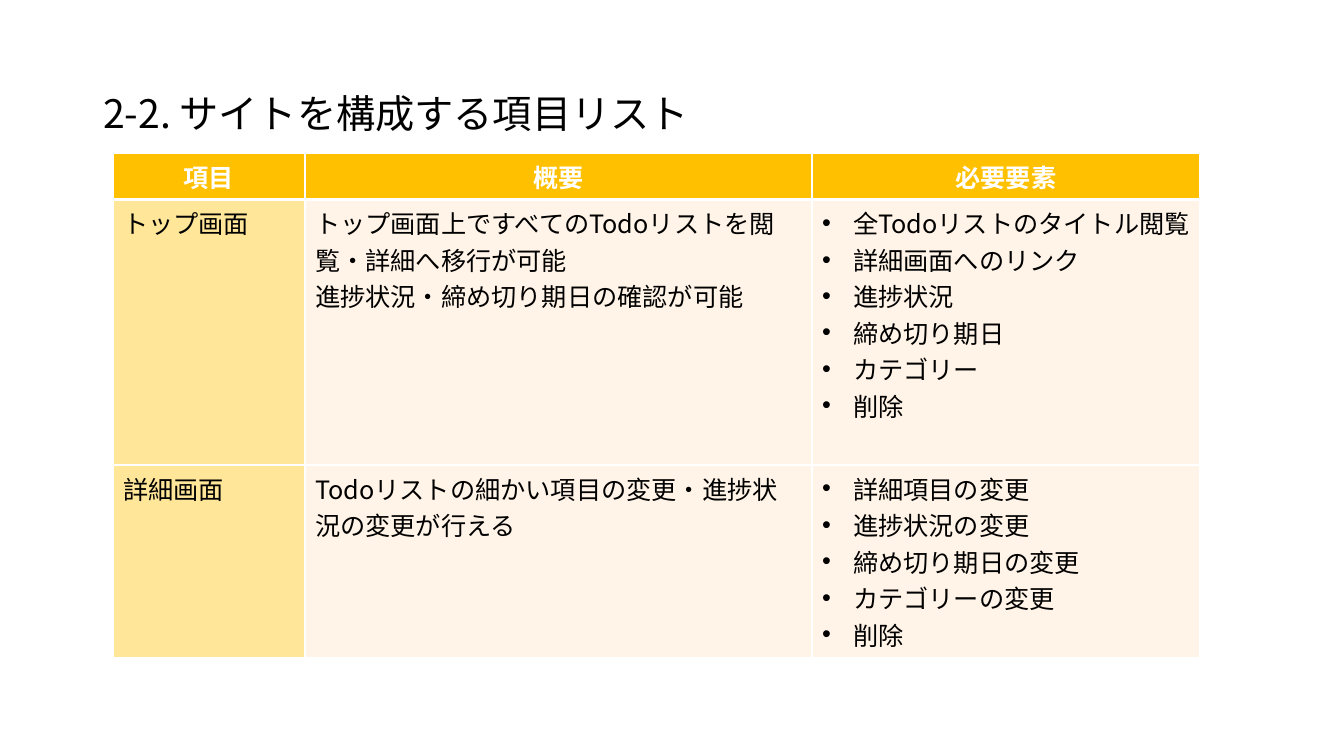
from lxml.etree import SubElement
from pptx import Presentation
from pptx.dml.color import RGBColor
from pptx.enum.text import MSO_ANCHOR, PP_ALIGN
from pptx.oxml.ns import qn
from pptx.util import Pt

EMU_PER_PX = 914400 / 100.8
FONT = "Noto Sans CJK JP"

BLACK = RGBColor(0x00, 0x00, 0x00)
WHITE = RGBColor(0xFF, 0xFF, 0xFF)
AMBER = RGBColor(0xFF, 0xC0, 0x00)
PALE_AMBER = RGBColor(0xFF, 0xE6, 0x99)
CREAM = RGBColor(0xFF, 0xF4, 0xE7)

HEADERS = ["項目", "概要", "必要要素"]
SCREENS = [
    (
        ["トップ画面"],
        ["トップ画面上ですべてのTodoリストを閲覧・詳細へ移行が可能",
         "進捗状況・締め切り期日の確認が可能"],
        ["全Todoリストのタイトル閲覧", "詳細画面へのリンク", "進捗状況",
         "締め切り期日", "カテゴリー", "削除"],
    ),
    (
        ["詳細画面"],
        ["Todoリストの細かい項目の変更・進捗状況の変更が行える"],
        ["詳細項目の変更", "進捗状況の変更", "締め切り期日の変更",
         "カテゴリーの変更", "削除"],
    ),
]
COLUMN_WIDTHS = [192, 507, 388]
ROW_HEIGHTS = [36, 145, 118]


def px(length):
    return round(length * EMU_PER_PX)


def write_text(paragraph, text, size=18, color=BLACK, bold=False,
               align=PP_ALIGN.LEFT, bullet=False):
    paragraph.alignment = align
    run = paragraph.add_run()
    run.text = text
    run.font.name = FONT
    run.font.size = Pt(size)
    run.font.bold = bold
    run.font.color.rgb = color
    # The Japanese glyphs need the East Asian typeface as well
    SubElement(run.font._element, qn("a:ea"), typeface=FONT)
    if bullet:
        properties = paragraph._p.get_or_add_pPr()
        properties.set("marL", str(px(31)))
        properties.set("indent", str(-px(31)))
        SubElement(properties, qn("a:buFont"), typeface="Arial")
        SubElement(properties, qn("a:buChar"), char="•")


def set_borders(cell, top=1, bottom=1):
    properties = cell._tc.get_or_add_tcPr()
    widths = {"a:lnL": 1, "a:lnR": 1, "a:lnT": top, "a:lnB": bottom}
    for tag, width in widths.items():
        line = SubElement(properties, qn(tag), w=str(Pt(width)))
        fill = SubElement(line, qn("a:solidFill"))
        SubElement(fill, qn("a:srgbClr"), val=str(WHITE))


def fill_cell(cell, lines, fill, top=1, bottom=1, **text_format):
    set_borders(cell, top, bottom)
    cell.fill.solid()
    cell.fill.fore_color.rgb = fill
    frame = cell.text_frame
    for index, line in enumerate(lines):
        paragraph = frame.add_paragraph() if index else frame.paragraphs[0]
        write_text(paragraph, line, **text_format)


def add_title(slide, text):
    title = slide.shapes.title
    title.left, title.top = px(93), px(90)
    title.width, title.height = px(1159), px(591)
    title.text_frame.vertical_anchor = MSO_ANCHOR.TOP
    paragraph = title.text_frame.paragraphs[0]
    paragraph.line_spacing = 0.9
    paragraph.space_before = Pt(10)
    write_text(paragraph, text, size=28)


def add_screen_table(slide):
    frame = slide.shapes.add_table(
        len(ROW_HEIGHTS), len(COLUMN_WIDTHS),
        px(113), px(153), px(sum(COLUMN_WIDTHS)), px(393))
    table = frame.table
    table.horz_banding = False
    for column, width in zip(table.columns, COLUMN_WIDTHS):
        column.width = px(width)
    for row, height in zip(table.rows, ROW_HEIGHTS):
        row.height = px(height)
    frame.height = px(393)

    # Header row
    for column, header in enumerate(HEADERS):
        fill_cell(table.cell(0, column), [header], AMBER, bottom=3,
                  color=WHITE, bold=True, align=PP_ALIGN.CENTER)

    # One row per screen: name, summary, bulleted elements
    for row, screen in enumerate(SCREENS, start=1):
        for column, lines in enumerate(screen):
            fill_cell(table.cell(row, column), lines,
                      CREAM if column else PALE_AMBER,
                      top=3 if row == 1 else 1, bullet=column == 2)


def main():
    presentation = Presentation()
    presentation.slide_width, presentation.slide_height = px(1344), px(756)
    title_only = presentation.slide_layouts[5]
    slide = presentation.slides.add_slide(title_only)
    add_title(slide, "2-2. サイトを構成する項目リスト")
    add_screen_table(slide)
    presentation.save("out.pptx")


if __name__ == "__main__":
    main()
